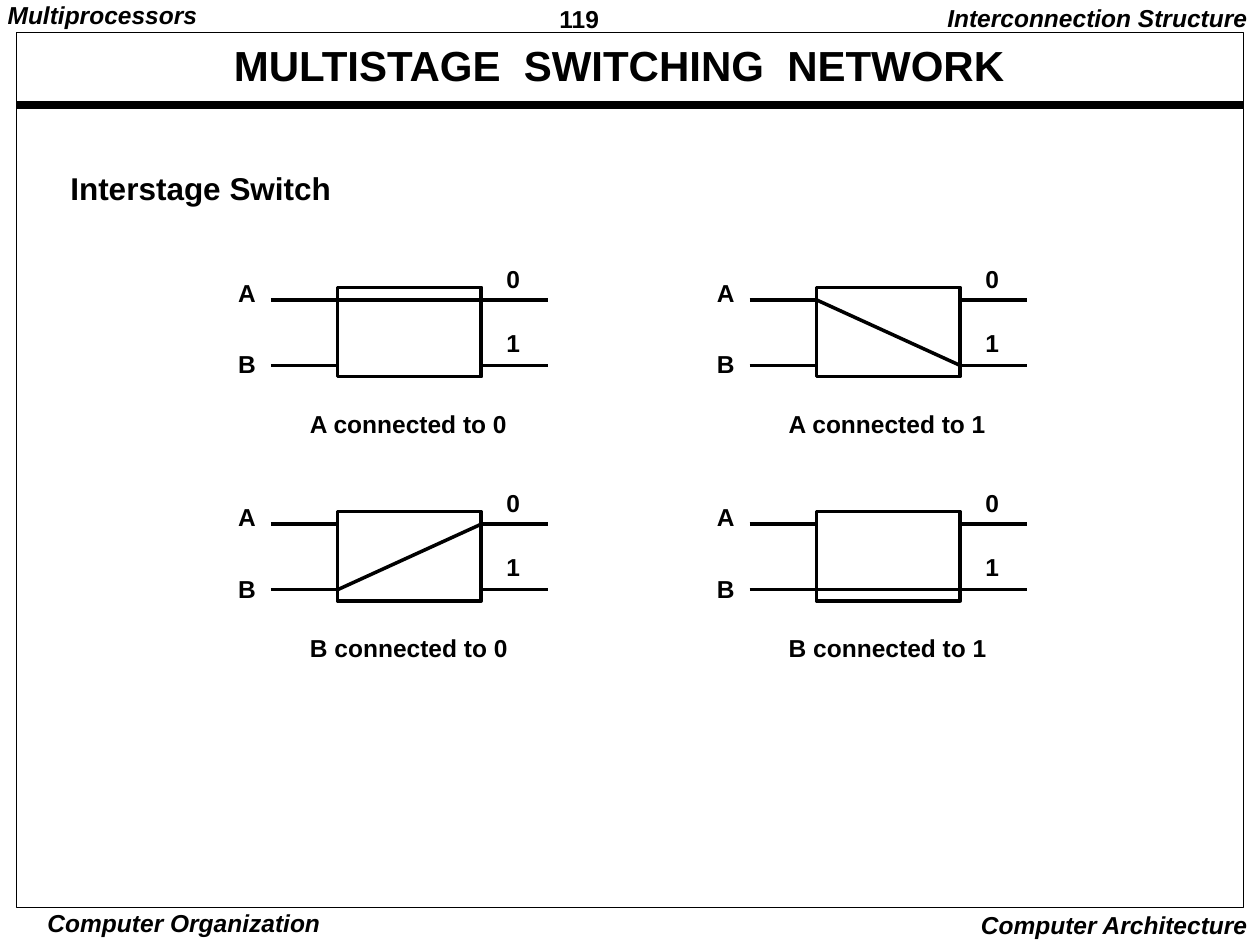
from lxml.etree import SubElement
from pptx import Presentation
from pptx.dml.color import RGBColor
from pptx.enum.shapes import MSO_CONNECTOR, MSO_SHAPE
from pptx.enum.text import MSO_ANCHOR, MSO_AUTO_SIZE as AutoSize, PP_ALIGN as Align
from pptx.oxml.ns import qn
from pptx.util import Inches, Pt

BLACK = RGBColor(0, 0, 0)
FONT = "Arial"
COLUMN_STEP, ROW_STEP = 3.8, 1.78
INPUT_LEFT, BOX_LEFT, BOX_RIGHT, OUTPUT_RIGHT = 2.15, 2.68, 3.82, 4.35
BOX_TOP, BOX_HEIGHT = 2.28, 0.71
TERMINAL_Y = {"A": 2.38, "B": 2.9, "0": 2.38, "1": 2.9}
LABEL_AT = {"A": (1.77, 2.17, 0.39), "B": (1.77, 2.74, 0.39),
            "0": (3.9, 2.06, 0.37), "1": (3.9, 2.57, 0.37)}
SWITCHES = [("A", "0", 0, 0), ("A", "1", 1, 0), ("B", "0", 0, 1), ("B", "1", 1, 1)]


def add_label(shapes, text, left, top, width, height, size=14, italic=False,
              align=Align.LEFT, insets=(0.1, 0.05), spacing=0.9, wrap=False):
    """Add a bold text box with the given horizontal and vertical insets."""
    label = shapes.add_textbox(Inches(left), Inches(top), Inches(width), Inches(height))
    frame = label.text_frame
    frame.text = text
    frame.word_wrap = wrap
    frame.auto_size = AutoSize.NONE if wrap else AutoSize.SHAPE_TO_FIT_TEXT
    frame.vertical_anchor = MSO_ANCHOR.MIDDLE if wrap else MSO_ANCHOR.TOP
    frame.margin_left = frame.margin_right = Inches(insets[0])
    frame.margin_top = frame.margin_bottom = Inches(insets[1])
    paragraph = frame.paragraphs[0]
    paragraph.alignment = align
    paragraph.line_spacing = spacing
    font = paragraph.runs[0].font
    font.name, font.size, font.bold, font.italic = FONT, Pt(size), True, italic
    font.color.rgb = BLACK


def add_wire(shapes, x1, y1, x2, y2, weight=2):
    """Add a plain black line between two points."""
    wire = shapes.add_connector(MSO_CONNECTOR.STRAIGHT, Inches(x1), Inches(y1),
                                Inches(x2), Inches(y2))
    wire.line.color.rgb = BLACK
    wire.line.width = Pt(weight)
    SubElement(wire._element.spPr, qn("a:effectLst"))


def add_outline(shapes, left, top, width, height, weight=2):
    """Add an unfilled black rectangle."""
    outline = shapes.add_shape(MSO_SHAPE.RECTANGLE, Inches(left), Inches(top),
                               Inches(width), Inches(height))
    outline.shadow.inherit = False
    outline.fill.background()
    outline.line.color.rgb = BLACK
    outline.line.width = Pt(weight)


def add_switch(slide, source, target, column, row):
    """Add one grouped switch that joins a source input to a target output."""
    shapes = slide.shapes.add_group_shape().shapes
    dx, dy = column * COLUMN_STEP, row * ROW_STEP
    add_outline(shapes, BOX_LEFT + dx, BOX_TOP + dy, BOX_RIGHT - BOX_LEFT, BOX_HEIGHT)
    source_y, target_y = TERMINAL_Y[source] + dy, TERMINAL_Y[target] + dy
    for terminal_input, terminal_output in ("A0", "B1"):
        y = TERMINAL_Y[terminal_input] + dy
        if (terminal_input, terminal_output) == (source, target):
            add_wire(shapes, INPUT_LEFT + dx, y, OUTPUT_RIGHT + dx, y)
        else:
            add_wire(shapes, INPUT_LEFT + dx, y, BOX_LEFT + dx, y)
            add_wire(shapes, BOX_RIGHT + dx, y, OUTPUT_RIGHT + dx, y)
    if source_y != target_y:
        add_wire(shapes, BOX_LEFT + dx, source_y, BOX_RIGHT + dx, target_y)
    for name, (left, top, width) in LABEL_AT.items():
        add_label(shapes, name, left + dx, top + dy, width, 0.33, insets=(0.12, 0.06))
    add_label(shapes, f"{source} connected to {target}", 2.34 + dx, 3.21 + dy,
              1.9, 0.33, insets=(0.12, 0.06))


def add_page_frame(slide):
    """Add the page border, heading rule, header and footer."""
    shapes = slide.shapes
    add_label(shapes, "119", 4.37, 0, 1.08, 0.29, insets=(0.07, 0.03), spacing=1.0)
    add_label(shapes, "Computer Organization", 0.3, 7.2, 2.32, 0.26, italic=True,
              align=Align.CENTER, insets=(0.03, 0.01), spacing=1.0)
    add_label(shapes, "Computer Architecture", 7.6, 7.17, 2.4, 0.33, italic=True,
              align=Align.RIGHT, spacing=1.0)
    add_wire(shapes, 0.13, 0.83, 9.87, 0.83, weight=4.5)
    add_outline(shapes, 0.13, 0.26, 9.74, 6.94, weight=0.5)
    add_label(shapes, "Interconnection Structure", 7.35, 0, 2.65, 0.31, italic=True,
              align=Align.RIGHT)
    add_label(shapes, "Multiprocessors", -0.01, 0, 1.72, 0.27, italic=True,
              insets=(0.07, 0.03))


def main():
    """Build the slide and save it."""
    deck = Presentation()
    deck.slide_width, deck.slide_height = Inches(10), Inches(7.5)
    slide = deck.slides.add_slide(deck.slide_layouts[6])
    add_page_frame(slide)
    add_label(slide.shapes, "MULTISTAGE  SWITCHING  NETWORK", 0, 0.18, 9.83, 0.71,
              size=24, align=Align.CENTER, wrap=True)
    add_label(slide.shapes, "Interstage Switch", 0.46, 1.33, 2.35, 0.37, size=18)
    for switch in SWITCHES:
        add_switch(slide, *switch)
    deck.save("out.pptx")


if __name__ == "__main__":
    main()
